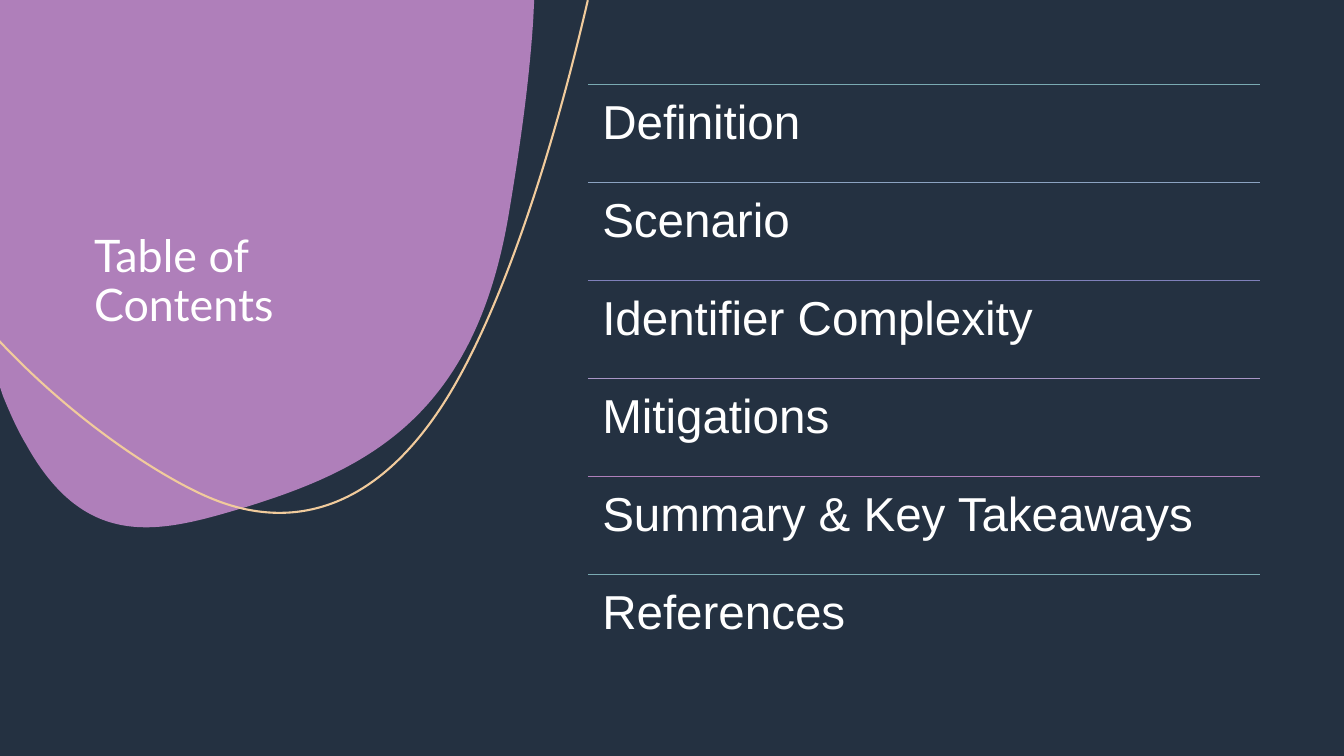
"""Build a table of contents slide with a purple blob and six ruled entries."""
from lxml import etree
from pptx import Presentation
from pptx.dml.color import RGBColor
from pptx.enum.shapes import MSO_CONNECTOR, MSO_SHAPE
from pptx.enum.text import MSO_ANCHOR, MSO_AUTO_SIZE, PP_ALIGN
from pptx.oxml.ns import qn
from pptx.util import Pt

STRAIGHT = MSO_CONNECTOR.STRAIGHT
RECTANGLE = MSO_SHAPE.RECTANGLE
TOP, BOTTOM = MSO_ANCHOR.TOP, MSO_ANCHOR.BOTTOM
LEFT = PP_ALIGN.LEFT
FIXED = MSO_AUTO_SIZE.NONE
TITLE_ONLY = 5

COLORS = {
    "night": "243141", "purple": "AF7FBA", "sand": "F1CB9C", "white": "FFFFFF",
    "teal": "7AAAB2", "steel": "8CA3C1", "indigo": "7F80BA", "lilac": "A996C6",
}
ENTRIES = [
    ("Definition", "teal"),
    ("Scenario", "steel"),
    ("Identifier Complexity", "indigo"),
    ("Mitigations", "lilac"),
    ("Summary & Key Takeaways", "purple"),
    ("References", "teal"),
]
LIST_LEFT, LIST_TOP, LIST_WIDTH, ROW_HEIGHT = 420, 60.2, 480, 70

BLOB_SIZE = (381.6, 376.9)
BLOB_STEPS = [
    ("moveTo", [(381.6, 0)]),
    ("lnTo", [(380.9, 14.4)]),
    ("cubicBezTo", [(378, 59), (371.5, 105.1), (363.6, 151.9)]),
    ("cubicBezTo", [(339.8, 295.9), (264.2, 334.8), (175.7, 362.2)]),
    ("cubicBezTo", [(115.9, 380.2), (61.9, 395.3), (18.7, 317.5)]),
    ("cubicBezTo", [(12.2, 306.7), (7.2, 295.2), (2.2, 283)]),
    ("lnTo", [(0, 276.5)]),
    ("lnTo", [(0, 0)]),
    ("lnTo", [(381.6, 0)]),
    ("close", []),
]
ARC_SIZE = (419.8, 366.5)
ARC_STEPS = [
    ("moveTo", [(419.8, 0)]),
    ("lnTo", [(419.8, 0.7)]),
    ("cubicBezTo", [(393.8, 113), (360.7, 211), (326.9, 271.4)]),
    ("cubicBezTo", [(275.8, 362.9), (211.7, 380.9), (151.9, 356.4)]),
    ("cubicBezTo", [(124.6, 345.6), (60.5, 308.2), (0, 244.1)]),
    ("lnTo", [(0, 243.4)]),
]


def add_outline(shapes, size, steps):
    """Draw a curved outline whose box starts at the page's top left corner."""
    builder = shapes.build_freeform(0, 0, scale=1.0)
    builder.add_line_segments([(Pt(size[0]), Pt(size[1]))], close=False)
    shape = builder.convert_to_shape()
    shape.shadow.inherit = False
    outline = next(shape._element.iter(qn("a:path")))
    for child in list(outline):
        outline.remove(child)
    for kind, points in steps:
        step = etree.SubElement(outline, qn(f"a:{kind}"))
        for x, y in points:
            etree.SubElement(step, qn("a:pt"), x=str(int(Pt(x))), y=str(int(Pt(y))))
    return shape


def write_text(frame, text, font, size, anchor):
    """Write one left-aligned white line of text into a text frame."""
    frame.word_wrap = True
    frame.auto_size = FIXED
    frame.vertical_anchor = anchor
    para = frame.paragraphs[0]
    para.alignment = LEFT
    para.line_spacing = 0.9
    span = para.add_run()
    span.text = text
    span.font.name = font
    span.font.size = Pt(size)
    span.font.color.rgb = RGBColor.from_string(COLORS["white"])


deck = Presentation()
deck.slide_width, deck.slide_height = Pt(960), Pt(540)
page = deck.slides.add_slide(deck.slide_layouts[TITLE_ONLY])
page.background.fill.solid()
page.background.fill.fore_color.rgb = RGBColor.from_string(COLORS["night"])

backdrop = page.shapes.add_shape(RECTANGLE, 0, 0, deck.slide_width, deck.slide_height)
backdrop.shadow.inherit = False
blob = add_outline(page.shapes, BLOB_SIZE, BLOB_STEPS)
for shape, color in ((backdrop, "night"), (blob, "purple")):
    shape.fill.solid()
    shape.fill.fore_color.rgb = RGBColor.from_string(COLORS[color])
    shape.line.fill.background()

arc = add_outline(page.shapes, ARC_SIZE, ARC_STEPS)
arc.fill.background()
arc.line.color.rgb = RGBColor.from_string(COLORS["sand"])
arc.line.width = Pt(1.5)

title = page.shapes.title
title.left, title.top, title.width, title.height = Pt(60), Pt(60), Pt(240), Pt(180)
write_text(title.text_frame, "Table of Contents", "Lato", 32, BOTTOM)
arc._element.addnext(title._element)

contents = page.shapes.add_group_shape()
for row, (entry, color) in enumerate(ENTRIES):
    top = Pt(LIST_TOP + row * ROW_HEIGHT)
    rule = contents.shapes.add_connector(
        STRAIGHT, Pt(LIST_LEFT), top, Pt(LIST_LEFT + LIST_WIDTH), top)
    rule.line.color.rgb = RGBColor.from_string(COLORS[color])
    rule.line.width = Pt(1)
    etree.SubElement(rule._element.spPr, qn("a:effectLst"))

    box = contents.shapes.add_textbox(Pt(LIST_LEFT), top, Pt(LIST_WIDTH), Pt(ROW_HEIGHT))
    frame = box.text_frame
    frame.margin_left = frame.margin_right = Pt(10.2)
    frame.margin_top = frame.margin_bottom = Pt(10.2)
    write_text(frame, entry, "Arial", 34, TOP)

deck.save("out.pptx")
